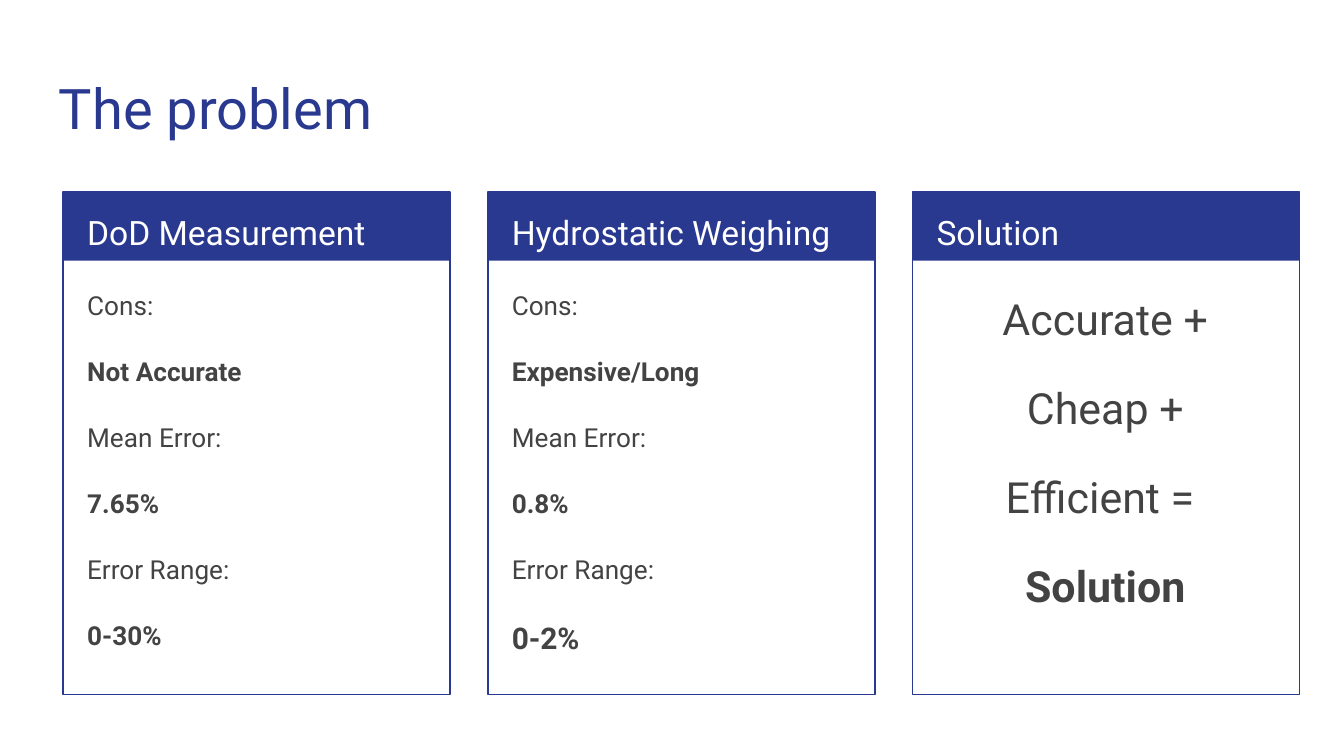
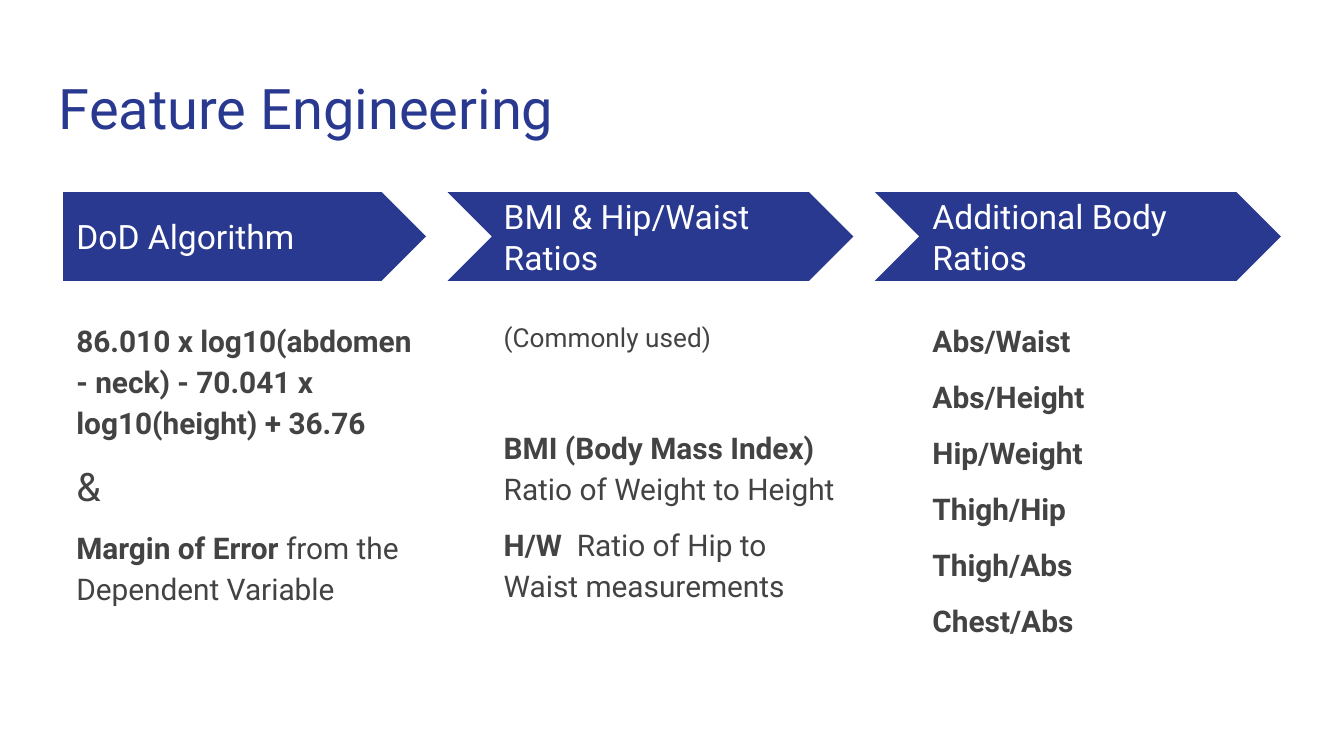
from dataclasses import dataclass

from pptx import Presentation
from pptx.dml.color import RGBColor
from pptx.enum.shapes import MSO_SHAPE as Preset
from pptx.enum.text import MSO_ANCHOR as Anchor, PP_ALIGN as Align
from pptx.presentation import Presentation as Deck
from pptx.shapes.autoshape import Shape
from pptx.slide import Slide
from pptx.util import Inches, Pt

# Shared style
BLUE = RGBColor(0x2A, 0x39, 0x90)
GREY = RGBColor(0x43, 0x43, 0x43)
WHITE = RGBColor(0xFF, 0xFF, 0xFF)
FONT = "Roboto"
TITLE_SIZE, HEADING_SIZE = 30, 18
BODY_SPACING = 1.15
LEFT, TOP = 0.47, 1.43

# Cards of the first slide
CARD_PITCH, CARD_WIDTH, CARD_HEIGHT = 3.16, 2.88, 3.74
CARD_HEADER_HEIGHT, CARD_INDENT = 0.51, 0.08

# Steps of the second slide
STEP_LEFTS = (LEFT, 3.65, 6.84)
CHEVRON_PITCH, CHEVRON_WIDTH = 3.18, 3.02
FIRST_CHEVRON_LEFT = 3.33
FIRST_STEP_WIDTH, STEP_HEIGHT = 2.7, 0.66


@dataclass(frozen=True)
class Span:
    text: str
    bold: bool = False
    size: float = 16


@dataclass(frozen=True)
class Line:
    spans: tuple[Span, ...]
    before: float | None = None  # overrides the gap of the column


@dataclass(frozen=True)
class Column:
    heading: str
    lines: tuple[Line, ...]
    align: Align = Align.LEFT


@dataclass(frozen=True)
class Box:
    left: float
    top: float
    width: float
    height: float

    def lengths(self) -> tuple[Inches, ...]:
        return tuple(Inches(value) for value in
                     (self.left, self.top, self.width, self.height))


def line(text: str, bold: bool = False, size: float = 16) -> Line:
    return Line((Span(text, bold, size),))


def method_lines(drawback: str, mean_error: str, error_range: str,
                 range_size: float = 14) -> tuple[Line, ...]:
    """Labels with the bold answers for one way of measuring."""
    return (
        line("Cons:", size=14), line(drawback, True, 14),
        line("Mean Error:", size=14), line(mean_error, True, 14),
        line("Error Range:", size=14), line(error_range, True, range_size),
    )


CARDS = (
    Column("DoD Measurement", method_lines("Not Accurate", "7.65%", "0-30%")),
    Column("Hydrostatic Weighing",
           method_lines("Expensive/Long", "0.8%", "0-2%", 16)),
    Column("Solution", (
        line("Accurate +", size=23),
        line("Cheap +", size=23),
        line("Efficient = ", size=23),
        line("Solution", True, 23),
    ), Align.CENTER),
)

BODY_RATIOS = ("Abs/Waist", "Abs/Height", "Hip/Weight",
               "Thigh/Hip", "Thigh/Abs", "Chest/Abs")

STEPS = (
    Column("DoD Algorithm", (
        line("86.010 x log10(abdomen - neck) - 70.041 x "
             "log10(height) + 36.76", True),
        line("&", size=21),
        Line((Span("Margin of Error", True),
              Span(" from the Dependent Variable"))),
    )),
    Column("BMI & Hip/Waist Ratios", (
        line("(Commonly used)", size=14),
        Line((Span("BMI (Body Mass Index)  ", True),
              Span("Ratio of Weight to Height")), before=38),
        Line((Span("H/W  ", True), Span("Ratio of Hip to Waist measurements"))),
    )),
    Column("Additional Body Ratios",
           tuple(line(ratio, True) for ratio in BODY_RATIOS)),
)


def add_text(slide: Slide, box: Box, lines: tuple[Line, ...], color: RGBColor,
             gap: float = 0, spacing: float = 1.0, align: Align = Align.LEFT,
             anchor: Anchor = Anchor.TOP) -> None:
    """Write lines into a text box with a gap between paragraphs."""
    text_frame = slide.shapes.add_textbox(*box.lengths()).text_frame
    text_frame.word_wrap = True
    text_frame.vertical_anchor = anchor
    text_frame.margin_left = text_frame.margin_right = Inches(0.1)
    text_frame.margin_top = text_frame.margin_bottom = Inches(0.1)
    for index, content in enumerate(lines):
        paragraph = (text_frame.add_paragraph() if index
                     else text_frame.paragraphs[0])
        paragraph.alignment = align
        paragraph.line_spacing = spacing
        if index:
            before = gap if content.before is None else content.before
            paragraph.space_before = Pt(before)
        for span in content.spans:
            run = paragraph.add_run()
            run.text = span.text
            run.font.name = FONT
            run.font.size = Pt(span.size)
            run.font.bold = span.bold
            run.font.color.rgb = color


def add_preset(shapes, preset: Preset, box: Box, filled: bool = True) -> Shape:
    """Draw a blue shape, either filled or outlined."""
    shape = shapes.add_shape(preset, *box.lengths())
    shape.shadow.inherit = False
    if filled:
        shape.fill.solid()
        shape.fill.fore_color.rgb = BLUE
        shape.line.fill.background()
    else:
        shape.fill.background()
        shape.line.color.rgb = BLUE
        shape.line.width = Pt(0.75)
    return shape


def add_titled_slide(presentation: Deck, title: str) -> Slide:
    slide = presentation.slides.add_slide(presentation.slide_layouts[6])
    slide.background.fill.solid()
    slide.background.fill.fore_color.rgb = WHITE
    add_text(slide, Box(0.34, 0.45, 9.32, 0.66),
             (line(title, size=TITLE_SIZE),), BLUE)
    return slide


def add_card(slide: Slide, index: int, card: Column) -> None:
    left = LEFT + index * CARD_PITCH
    group = slide.shapes.add_group_shape()
    add_preset(group.shapes, Preset.RECTANGLE,
               Box(left, TOP, CARD_WIDTH, CARD_HEADER_HEIGHT))
    add_preset(group.shapes, Preset.RECTANGLE,
               Box(left, TOP, CARD_WIDTH, CARD_HEIGHT), filled=False)
    text_left = left + CARD_INDENT
    add_text(slide, Box(text_left, TOP, 2.73, 0.5),
             (line(card.heading, size=HEADING_SIZE),), WHITE,
             spacing=BODY_SPACING)
    add_text(slide, Box(text_left, 2.02, 2.71, 3.06), card.lines, GREY,
             gap=16, spacing=BODY_SPACING, align=card.align)


def add_step(slide: Slide, index: int, step: Column) -> None:
    left = STEP_LEFTS[index]
    if index:
        chevron_left = FIRST_CHEVRON_LEFT + (index - 1) * CHEVRON_PITCH
        add_preset(slide.shapes, Preset.CHEVRON,
                   Box(chevron_left, TOP, CHEVRON_WIDTH, STEP_HEIGHT))
    else:
        add_preset(slide.shapes, Preset.PENTAGON,
                   Box(left, TOP, FIRST_STEP_WIDTH, STEP_HEIGHT))
    add_text(slide, Box(left, 1.59, 2.47, 0.34),
             (line(step.heading, size=HEADING_SIZE),), WHITE,
             anchor=Anchor.MIDDLE)
    add_text(slide, Box(left, 2.26, 2.7, 2.9), step.lines, GREY,
             gap=8, spacing=BODY_SPACING, align=step.align)


def main() -> None:
    presentation = Presentation()
    presentation.slide_width = Inches(10)
    presentation.slide_height = Inches(10) * 9 // 16  # widescreen

    # Slide 1: three cards
    problem = add_titled_slide(presentation, "The problem")
    for index, card in enumerate(CARDS):
        add_card(problem, index, card)

    # Slide 2: three steps
    features = add_titled_slide(presentation, "Feature Engineering")
    for index, step in enumerate(STEPS):
        add_step(features, index, step)

    presentation.save("out.pptx")


if __name__ == "__main__":
    main()
